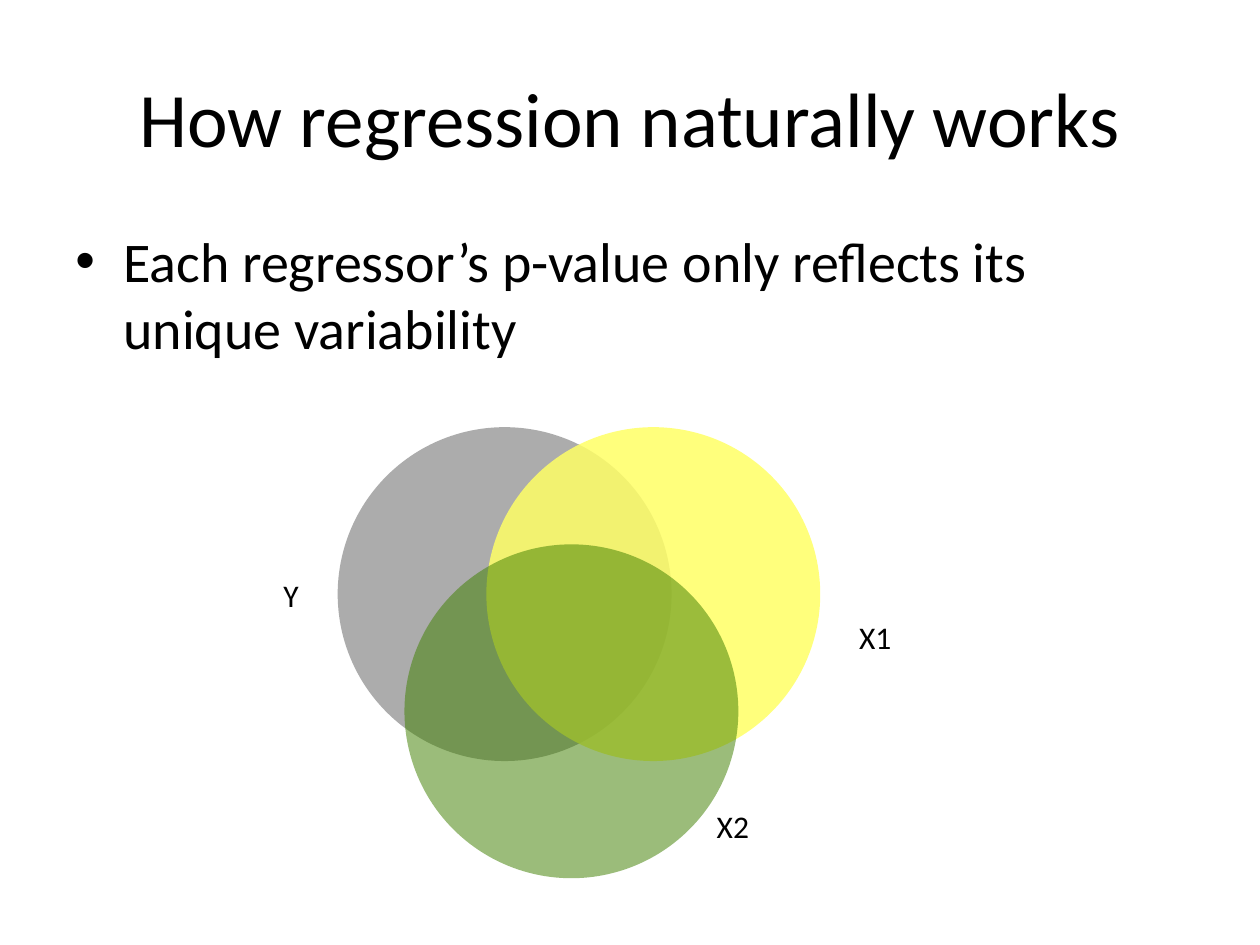
from dataclasses import dataclass

from lxml import etree
from pptx import Presentation
from pptx.dml.color import RGBColor
from pptx.enum.shapes import MSO_SHAPE
from pptx.enum.text import MSO_ANCHOR, PP_ALIGN
from pptx.oxml.ns import qn
from pptx.util import Inches, Pt

OVAL = MSO_SHAPE.OVAL
TOP, MIDDLE = MSO_ANCHOR.TOP, MSO_ANCHOR.MIDDLE
LEFT, CENTER = PP_ALIGN.LEFT, PP_ALIGN.CENTER
FONT = "Calibri"
INK = "000000"
SIZE = 2.65  # diameter of each circle


@dataclass
class Circle:
    left: float
    top: float
    color: str
    alpha: int  # opacity in percent


@dataclass
class Label:
    text: str
    left: float
    top: float
    width: float = 0.54
    height: float = 0.4
    size: int = 18
    align: PP_ALIGN = LEFT
    anchor: MSO_ANCHOR = TOP


TITLE = Label("How regression naturally works", 0.5, 0.3, 9, 1.25, 44, CENTER, MIDDLE)
BODY = Label("Each regressor’s p-value only reflects its unique variability",
             0.5, 1.75, 9, 4.95, 32)
CIRCLES = [
    Circle(2.68, 3.39, "808080", 65),
    Circle(3.86, 3.39, "FFFF66", 85),
    Circle(3.21, 4.32, "408000", 52),
]
LABELS = [
    Label("Y", 2.15, 4.52),
    Label("X1", 6.72, 4.86),
    Label("X2", 5.59, 6.36),
]


def rgb(code: str) -> RGBColor:
    return RGBColor.from_string(code)


def add_label(slide, item: Label):
    box = slide.shapes.add_textbox(Inches(item.left), Inches(item.top),
                                   Inches(item.width), Inches(item.height))
    frame = box.text_frame
    frame.word_wrap = True
    frame.vertical_anchor = item.anchor
    frame.text = item.text
    para = frame.paragraphs[0]
    para.alignment = item.align
    font = para.runs[0].font
    font.name = FONT
    font.size = Pt(item.size)
    font.color.rgb = rgb(INK)
    return para


def add_bullet(para) -> None:
    para.space_before = Pt(6.4)
    props = para._p.get_or_add_pPr()
    props.set("marL", str(Inches(0.38)))
    props.set("indent", str(Inches(-0.38)))
    etree.SubElement(props, qn("a:buFont"), typeface="Arial")
    etree.SubElement(props, qn("a:buChar"), char="•")


def add_circle(slide, item: Circle) -> None:
    disc = slide.shapes.add_shape(OVAL, Inches(item.left), Inches(item.top),
                                  Inches(SIZE), Inches(SIZE))
    disc.shadow.inherit = False
    disc.line.fill.background()
    disc.fill.solid()
    disc.fill.fore_color.rgb = rgb(item.color)
    tint = disc._element.spPr.find(qn("a:solidFill"))[0]
    etree.SubElement(tint, qn("a:alpha"), val=str(item.alpha * 1000))


def main() -> None:
    deck = Presentation()
    deck.slide_width, deck.slide_height = Inches(10), Inches(7.5)
    slide = deck.slides.add_slide(deck.slide_layouts[6])

    # Title and bullet
    add_label(slide, TITLE)
    add_bullet(add_label(slide, BODY))

    # Venn diagram
    for circle in CIRCLES:
        add_circle(slide, circle)
    for label in LABELS:
        add_label(slide, label)

    deck.save("out.pptx")


if __name__ == "__main__":
    main()
